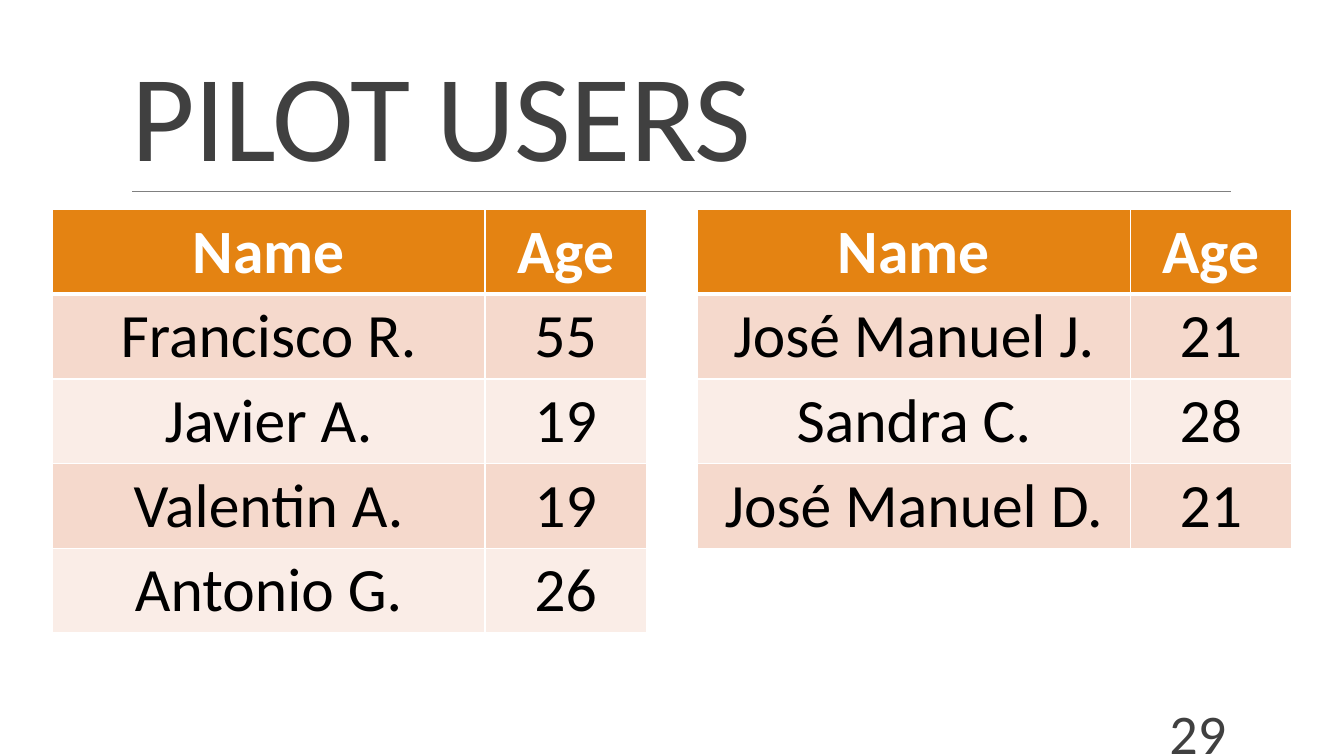
from lxml import etree
from pptx import Presentation
from pptx.dml.color import RGBColor
from pptx.enum.shapes import MSO_CONNECTOR
from pptx.enum.text import MSO_ANCHOR, MSO_AUTO_SIZE, PP_ALIGN
from pptx.oxml.ns import qn
from pptx.util import Inches, Pt

STRAIGHT = MSO_CONNECTOR.STRAIGHT
MIDDLE, BOTTOM = MSO_ANCHOR.MIDDLE, MSO_ANCHOR.BOTTOM
CENTER, RIGHT = PP_ALIGN.CENTER, PP_ALIGN.RIGHT
NO_AUTOFIT = MSO_AUTO_SIZE.NONE

FONT = "Calibri"
GREY, WHITE, BLACK = "404040", "FFFFFF", "000000"
HEADER_FILL = "E48312"
BAND_FILLS = ["F5D9CC", "FAEDE7"]
COLUMN_WIDTHS = [4.29, 1.6]
ROW_HEIGHT = 0.84
TABLE_TOP = 2.08

HEADER = ("Name", "Age")
LEFT_USERS = [("Francisco R.", "55"), ("Javier A.", "19"),
              ("Valentin A.", "19"), ("Antonio G.", "26")]
RIGHT_USERS = [("José Manuel J.", "21"), ("Sandra C.", "28"),
               ("José Manuel D.", "21")]


def color(value):
    return RGBColor.from_string(value)


def format_text(frame, size, text_color, align=None, bold=False):
    para = frame.paragraphs[0]
    para.alignment = align
    for span in para.runs:
        span.font.name = FONT
        span.font.size = Pt(size)
        span.font.bold = bold
        span.font.color.rgb = color(text_color)


def add_title(page, text):
    title = page.shapes.title
    title.left, title.top = Inches(1.2), Inches(0.31)
    title.width, title.height = Inches(11), Inches(1.59)
    frame = title.text_frame
    frame.text = text
    frame.word_wrap = True
    frame.auto_size = NO_AUTOFIT
    frame.vertical_anchor = BOTTOM
    format_text(frame, 88, GREY, PP_ALIGN.LEFT)
    para = frame.paragraphs[0]
    para.line_spacing = 0.85
    for span in para.runs:
        span.font._element.set("spc", "-50")


def add_rule(page):
    rule = page.shapes.add_connector(
        STRAIGHT, Inches(1.31), Inches(1.9), Inches(12.21), Inches(1.9))
    rule.line.color.rgb = color("808080")
    rule.line.width = Pt(0.5)
    etree.SubElement(rule._element.spPr, qn("a:effectLst"))


def add_page_number(page, text):
    box = page.shapes.add_textbox(
        Inches(10.83), Inches(7.06), Inches(1.43), Inches(0.4))
    frame = box.text_frame
    frame.text = text
    frame.word_wrap = True
    frame.vertical_anchor = MIDDLE
    format_text(frame, 40, GREY, RIGHT)


def add_borders(cell, bottom_width):
    properties = cell._tc.get_or_add_tcPr()
    for side, width in [("L", 1), ("R", 1), ("T", 1), ("B", bottom_width)]:
        border = etree.SubElement(properties, qn(f"a:ln{side}"), w=str(Pt(width)))
        fill = etree.SubElement(border, qn("a:solidFill"))
        etree.SubElement(fill, qn("a:srgbClr"), val=WHITE)


def style_cell(cell, text, row):
    is_header = row == 0
    cell.text = text
    format_text(cell.text_frame, 44, WHITE if is_header else BLACK, CENTER, is_header)
    add_borders(cell, 3 if is_header else 1)
    cell.fill.solid()
    cell.fill.fore_color.rgb = color(
        HEADER_FILL if is_header else BAND_FILLS[(row - 1) % 2])


def add_user_table(page, left, users):
    rows = [HEADER, *users]
    table = page.shapes.add_table(
        len(rows), len(HEADER), Inches(left), Inches(TABLE_TOP),
        Inches(sum(COLUMN_WIDTHS)), Inches(ROW_HEIGHT * len(rows))).table
    for column, width in zip(table.columns, COLUMN_WIDTHS):
        column.width = Inches(width)
    for row, values in enumerate(rows):
        for column, text in enumerate(values):
            style_cell(table.cell(row, column), text, row)


def main():
    deck = Presentation()
    deck.slide_width, deck.slide_height = Inches(13.33), Inches(7.5)
    page = deck.slides.add_slide(deck.slide_layouts[5])
    add_rule(page)
    add_title(page, "PILOT USERS")
    add_page_number(page, "29")
    add_user_table(page, 6.92, RIGHT_USERS)
    add_user_table(page, 0.52, LEFT_USERS)
    deck.save("out.pptx")


if __name__ == "__main__":
    main()
